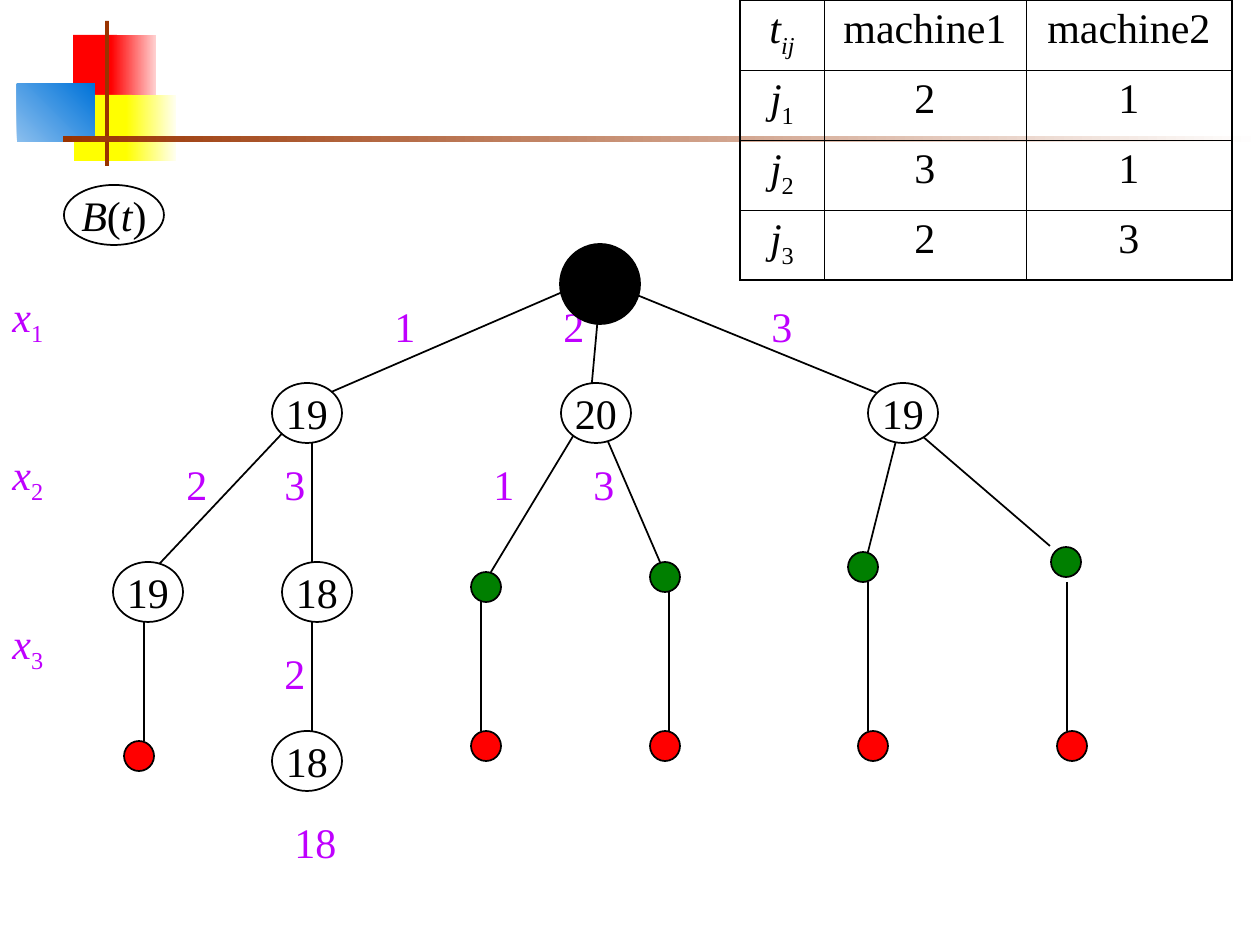
from dataclasses import dataclass
from typing import Any

from lxml import etree
from pptx import Presentation
from pptx import util as u
from pptx.dml import color
from pptx.enum import shapes, text
from pptx.oxml import ns

EMU_PER_PX = 914400 / 126
FONT = "Times New Roman"
COLORS = {
    "black": "000000", "white": "FFFFFF", "purple": "BF00FF",
    "green": "007F00", "red": "FF0000", "pink": "FFD1D1",
    "yellow": "FFFF00", "cream": "FFFFF0", "sky": "8BBFEE",
    "blue": "0073D9", "brown": "993300",
}
Runs = list[tuple[str, str]]  # text and style letters: i = italic, s = subscript


@dataclass(frozen=True)
class Block:
    x: int
    y: int
    width: int
    height: int
    fill: str
    fade: str = ""
    angle: int = 0


@dataclass(frozen=True)
class Edge:
    x1: int
    y1: int
    x2: int
    y2: int


@dataclass(frozen=True)
class Oval:
    x: int
    y: int
    runs: Runs
    width: int = 70
    height: int = 60
    fill: str = "white"


@dataclass(frozen=True)
class Label:
    x: int
    y: int
    width: int
    runs: Runs
    height: int = 63


def px(value: int) -> u.Emu:
    return u.Emu(round(value * EMU_PER_PX))


def rgb(name: str) -> color.RGBColor:
    return color.RGBColor.from_string(COLORS[name])


def set_all(target: Any, values: dict[str, Any]) -> None:
    for name, value in values.items():
        setattr(target, name, value)


def write(frame: Any, runs: Runs, ink: str, align: Any) -> None:
    paragraph = frame.paragraphs[0]
    paragraph.alignment = align
    for words, style in runs:
        run = paragraph.add_run()
        run.text = words
        set_all(run.font, {"name": FONT, "size": u.Pt(24), "italic": "i" in style})
        run.font.color.rgb = rgb(ink)
        if "s" in style:
            run._r.get_or_add_rPr().set("baseline", "-25000")


def draw_block(slide: Any, block: Block) -> None:
    shape = slide.shapes.add_shape(shapes.MSO_SHAPE.RECTANGLE, px(block.x), px(block.y),
                                   px(block.width), px(block.height))
    shape.shadow.inherit = False
    shape.line.fill.background()
    if block.fade:
        shape.fill.gradient()
        shape.fill.gradient_angle = block.angle
        for stop, name in zip(shape.fill.gradient_stops, (block.fill, block.fade)):
            stop.color.rgb = rgb(name)
    else:
        shape.fill.solid()
        shape.fill.fore_color.rgb = rgb(block.fill)


def draw_edge(slide: Any, edge: Edge) -> None:
    line = slide.shapes.add_connector(shapes.MSO_CONNECTOR.STRAIGHT, px(edge.x1),
                                      px(edge.y1), px(edge.x2), px(edge.y2))
    line.line.color.rgb = rgb("black")
    line.line.width = u.Pt(1)
    etree.SubElement(line._element.spPr, ns.qn("a:effectLst"))


def draw_oval(slide: Any, oval: Oval) -> None:
    shape = slide.shapes.add_shape(shapes.MSO_SHAPE.OVAL, px(oval.x), px(oval.y),
                                   px(oval.width), px(oval.height))
    shape.shadow.inherit = False
    shape.fill.solid()
    shape.fill.fore_color.rgb = rgb(oval.fill)
    shape.line.color.rgb = rgb("black")
    shape.line.width = u.Pt(1)
    set_all(shape.text_frame, {"word_wrap": False,
                               "vertical_anchor": text.MSO_ANCHOR.MIDDLE})
    write(shape.text_frame, oval.runs, "black", text.PP_ALIGN.CENTER)


def draw_label(slide: Any, label: Label) -> None:
    box = slide.shapes.add_textbox(px(label.x), px(label.y), px(label.width),
                                   px(label.height))
    set_all(box.text_frame, {"word_wrap": True,
                             "auto_size": text.MSO_AUTO_SIZE.SHAPE_TO_FIT_TEXT})
    write(box.text_frame, label.runs, "purple", text.PP_ALIGN.LEFT)


def set_border(cell: Any, side: str, points: float) -> None:
    line = etree.SubElement(cell._tc.get_or_add_tcPr(), ns.qn(f"a:ln{side}"),
                            w=str(u.Pt(points)))
    fill = etree.SubElement(line, ns.qn("a:solidFill"))
    etree.SubElement(fill, ns.qn("a:srgbClr"), val=COLORS["black"])


def draw_table(slide: Any, x: int, y: int, widths: list[int], row_height: int,
               rows: list[list[Runs]]) -> None:
    table = slide.shapes.add_table(len(rows), len(widths), px(x), px(y), px(sum(widths)),
                                   px(row_height * len(rows))).table
    set_all(table, {"first_row": False, "horz_banding": False})
    for column, width in zip(table.columns, widths):
        column.width = px(width)
    for r, row in enumerate(rows):
        table.rows[r].height = px(row_height)
        for c, runs in enumerate(row):
            cell = table.cell(r, c)
            outer = {"L": c == 0, "R": c == len(widths) - 1,
                     "T": r == 0, "B": r == len(rows) - 1}
            for side, is_outer in outer.items():
                set_border(cell, side, 1.08 if is_outer else 0.45)
            cell.fill.background()
            write(cell.text_frame, runs, "black", text.PP_ALIGN.CENTER)


# Corner decoration and title rule
BLOCKS = [
    Block(73, 35, 44, 66, "red"), Block(111, 35, 45, 66, "red", "pink"),
    Block(74, 95, 58, 66, "yellow"), Block(126, 95, 50, 66, "yellow", "cream"),
    Block(17, 84, 78, 58, "sky", "blue", 45), Block(105, 21, 4, 145, "brown"),
    Block(63, 136, 1197, 6, "brown", "white"),
]

# Search tree: edges, level by level
EDGES = [
    Edge(581, 284, 315, 399), Edge(600, 294, 591, 393), Edge(610, 284, 892, 399),
    Edge(292, 423, 147, 577), Edge(312, 433, 312, 582), Edge(581, 423, 491, 572),
    Edge(600, 423, 660, 562), Edge(898, 433, 868, 552), Edge(907, 423, 1050, 546),
    Edge(144, 601, 144, 741), Edge(312, 611, 312, 741), Edge(481, 601, 481, 731),
    Edge(669, 591, 669, 731), Edge(868, 582, 868, 731), Edge(1067, 582, 1067, 731),
]
DOTS = {
    "green": [(471, 572), (650, 562), (848, 552), (1051, 547)],
    "red": [(124, 741), (471, 731), (650, 731), (858, 731), (1057, 731)],
}
BOUNDS = [(272, 383, "19"), (561, 383, "20"), (868, 383, "19"),
          (113, 562, "19"), (282, 562, "18"), (272, 731, "18")]
LEVELS = [284, 442, 611]
CHOICES = [
    (382, 294, 77, "1"), (551, 294, 64, "2"), (759, 294, 57, "3"),
    (174, 452, 62, "2"), (272, 452, 57, "3"), (481, 452, 77, "1"),
    (581, 452, 57, "3"), (272, 641, 62, "2"), (282, 810, 100, "18"),
]
TIMES = [("2", "1"), ("3", "1"), ("2", "3")]


def main() -> None:
    presentation = Presentation()
    set_all(presentation, {"slide_width": px(1260), "slide_height": px(945)})
    slide = presentation.slides.add_slide(presentation.slide_layouts[6])

    for block in BLOCKS:
        draw_block(slide, block)
    for edge in EDGES:
        draw_edge(slide, edge)
    for i, y in enumerate(LEVELS, 1):
        draw_label(slide, Label(0, y, 74, [("x", "i"), (str(i), "s")], 70))
    for x, y, width, words in CHOICES:
        draw_label(slide, Label(x, y, width, [(words, "")]))
    for fill, places in DOTS.items():
        for x, y in places:
            draw_oval(slide, Oval(x, y, [], 30, 30, fill))
    for x, y, words in BOUNDS:
        draw_oval(slide, Oval(x, y, [(words, "")]))

    # Processing times, legend and root
    header = [[("t", "i"), ("ij", "is")], [("machine1", "")], [("machine2", "")]]
    jobs = [[[("j", "i"), (str(i), "s")]] + [[(time, "")] for time in times]
            for i, times in enumerate(TIMES, 1)]
    draw_table(slide, 740, 0, [84, 202, 206], 70, [header, *jobs])
    draw_oval(slide, Oval(64, 185, [("B", "i"), ("(", ""), ("t", "i"), (")", "")], 100))
    draw_oval(slide, Oval(560, 244, [], 80, 80, "black"))

    presentation.save("out.pptx")


if __name__ == "__main__":
    main()
